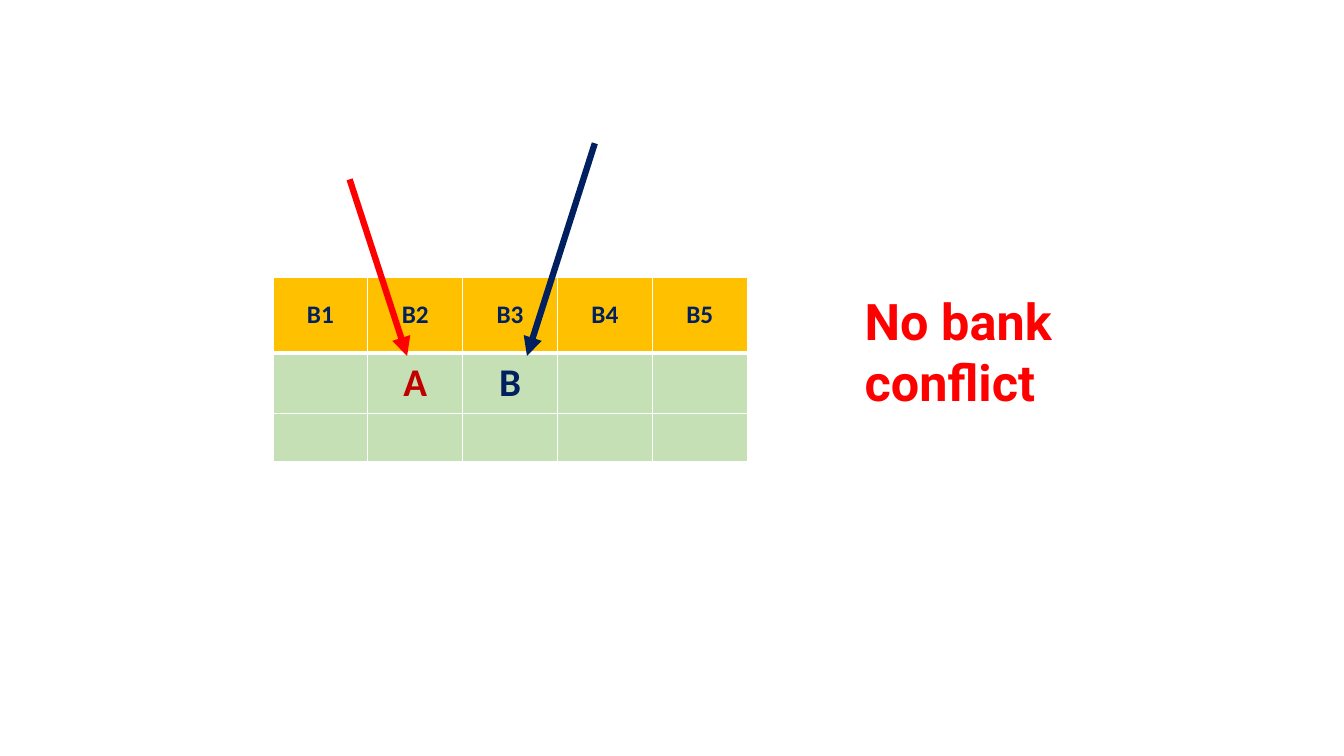
from dataclasses import dataclass

from lxml.etree import SubElement
from pptx import Presentation
from pptx.dml.color import RGBColor
from pptx.enum.shapes import MSO_CONNECTOR as Link
from pptx.enum.text import MSO_ANCHOR as Anchor, MSO_AUTO_SIZE as Fit, PP_ALIGN as Align
from pptx.oxml.ns import qn
from pptx.util import Cm, Pt

NAVY = "002060"
RED = "FF0000"
WHITE = "FFFFFF"
GOLD = "FFC000"
GREEN = "C5E0B4"


@dataclass
class Arrow:
    start: tuple[float, float]
    end: tuple[float, float]
    color: str


@dataclass
class Row:
    height: float
    fill: str
    size: float
    labels: dict[int, str]
    colors: dict[int, str]
    top: float = 1
    bottom: float = 1


BANKS = 5
WIDTH = 2.39
ROWS = [
    Row(1.9, GOLD, 18, {i: f"B{i + 1}" for i in range(BANKS)}, {}, bottom=3),
    Row(1.52, GREEN, 28, {1: "A", 2: "B"}, {1: "C00000"}, top=3),
    Row(1.22, GREEN, 18, {}, {}),
]
ARROWS = [
    Arrow((8.81, 4.52), (10.26, 8.97), RED),
    Arrow((14.99, 3.61), (13.28, 8.97), NAVY),
]


def paint(target, color: str) -> None:
    target.solid()
    target.fore_color.rgb = RGBColor.from_string(color)


def write(frame, text: str, *, size: float, color: str, font: str = "Calibri",
          align=Align.LEFT) -> None:
    line = frame.paragraphs[0]
    line.alignment = align
    run = line.add_run()
    run.text = text
    run.font.name = font
    run.font.size = Pt(size)
    run.font.bold = True
    paint(run.font.fill, color)


def edge(cell, side: str, width: float) -> None:
    line = SubElement(cell._tc.get_or_add_tcPr(), qn(f"a:ln{side}"), w=str(Pt(width)))
    SubElement(SubElement(line, qn("a:solidFill")), qn("a:srgbClr"), val=WHITE)


def draw_table(slide) -> None:
    height = sum(row.height for row in ROWS)
    table = slide.shapes.add_table(len(ROWS), BANKS, Cm(6.88), Cm(6.99),
                                   Cm(WIDTH * BANKS), Cm(height)).table
    table.horz_banding = False
    for column in table.columns:
        column.width = Cm(WIDTH)
    for r, row in enumerate(ROWS):
        table.rows[r].height = Cm(row.height)
        for c in range(BANKS):
            cell = table.cell(r, c)
            cell.vertical_anchor = Anchor.MIDDLE
            for side, width in zip("LRTB", (1, 1, row.top, row.bottom)):
                edge(cell, side, width)
            paint(cell.fill, row.fill)
            if c in row.labels:
                write(cell.text_frame, row.labels[c], size=row.size,
                      color=row.colors.get(c, NAVY), align=Align.CENTER)


def draw_arrow(slide, arrow: Arrow) -> None:
    ends = [Cm(value) for value in arrow.start + arrow.end]
    link = slide.shapes.add_connector(Link.STRAIGHT, *ends)
    link.line.width = Pt(4.5)
    paint(link.line.fill, arrow.color)
    SubElement(link.line._get_or_add_ln(), qn("a:tailEnd"), type="triangle")
    SubElement(link._element.spPr, qn("a:effectLst"))


def draw_note(slide) -> None:
    box = slide.shapes.add_textbox(Cm(21.54), Cm(7.19), Cm(9.3), Cm(1.8))
    frame = box.text_frame
    frame.word_wrap = True
    frame.auto_size = Fit.SHAPE_TO_FIT_TEXT
    write(frame, "No bank conflict", size=36, color=RED, font="Roboto")


def main() -> None:
    deck = Presentation()
    deck.slide_width = Cm(33.87)
    deck.slide_height = Cm(19.05)
    slide = deck.slides.add_slide(deck.slide_layouts[6])
    paint(slide.background.fill, WHITE)
    draw_table(slide)
    for arrow in ARROWS:
        draw_arrow(slide, arrow)
    draw_note(slide)
    deck.save("out.pptx")


if __name__ == "__main__":
    main()
